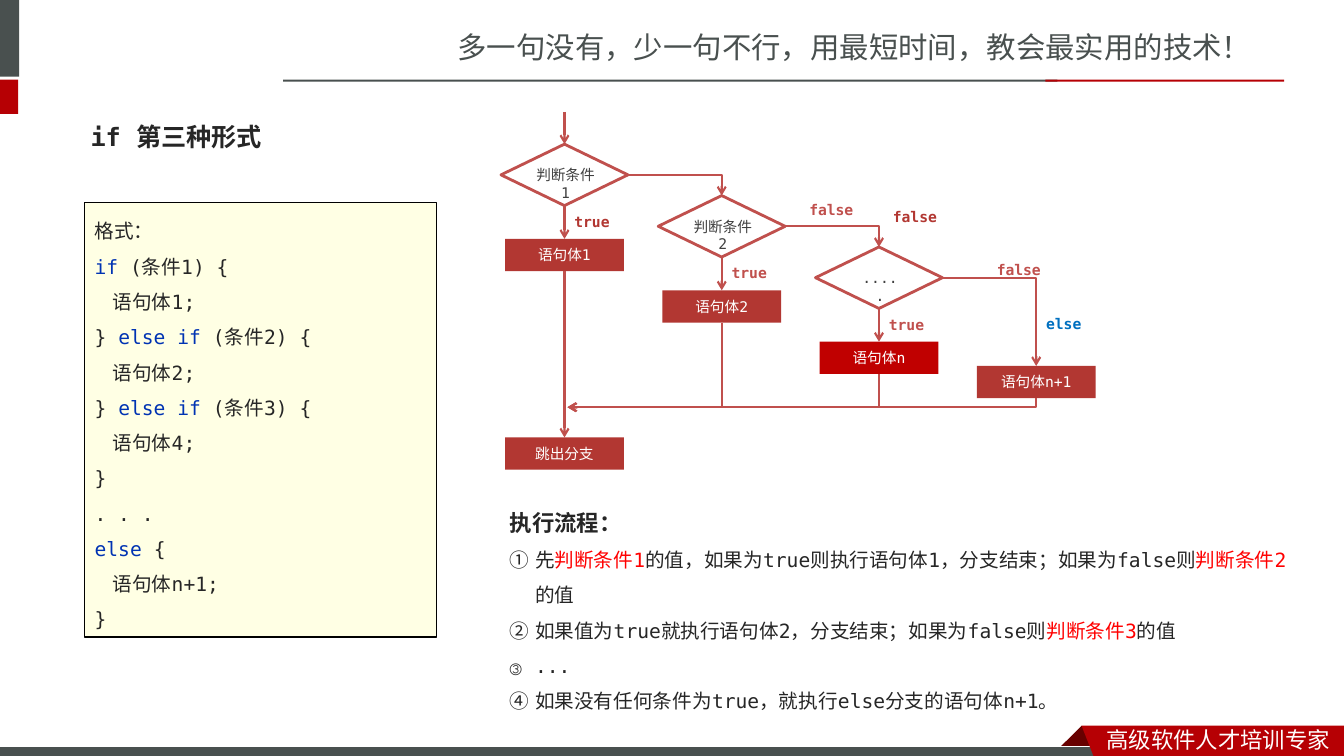
import pptx
import pptx.dml.color
import pptx.enum.shapes
import pptx.enum.text
import pptx.oxml
import pptx.oxml.ns
import pptx.util
from dataclasses import dataclass


@dataclass(frozen=True)
class Theme:
    latin: str = "DejaVu Sans Mono"
    han: str = "Noto Sans CJK SC"
    ink: str = "262626"
    slate: str = "49504F"
    brand: str = "B60004"
    fold: str = "680000"
    white: str = "FFFFFF"
    black: str = "000000"
    paper: str = "FFFFE4"
    keyword: str = "0033B3"
    accent: str = "FF0000"
    flow: str = "C0504D"
    step: str = "B23732"
    last_step: str = "C00000"
    condition: str = "404040"
    otherwise: str = "0070C0"
    banner_size: float = 21
    heading_size: float = 18
    section_size: float = 16
    body_size: float = 14
    label_size: float = 10.5


THEME = Theme()
SHAPE = pptx.enum.shapes.MSO_SHAPE
LEFT, CENTER = pptx.enum.text.PP_ALIGN.LEFT, pptx.enum.text.PP_ALIGN.CENTER
TOP, MIDDLE = pptx.enum.text.MSO_ANCHOR.TOP, pptx.enum.text.MSO_ANCHOR.MIDDLE

# Grid: 133.33 columns by 75 rows, square cells
COLUMNS, ROWS = 133.33, 75
CELL = pptx.util.Inches(7.5) / ROWS

# Each branch sits one stride right of and below the one before it
FIRST_X, FIRST_Y = 56, 14.3
STRIDE_X, STRIDE_Y = 15.6, 5.1
DIAMOND_W, DIAMOND_H = 12.6, 6.1
STEP_W, STEP_H, STEP_DROP = 11.8, 3.2, 9.4
EXIT_Y, MERGE_X, MERGE_Y = 43.4, 56.3, 40.4

CODE = [
    [("格式：", "ink")],
    [("if", "keyword"), (" (条件1) {", "ink")],
    [("语句体1;", "ink")],
    [("} ", "ink"), ("else if ", "keyword"), ("(条件2) {", "ink")],
    [("语句体2;", "ink")],
    [("} ", "ink"), ("else if ", "keyword"), ("(条件3) {", "ink")],
    [("语句体4;", "ink")],
    [("}", "ink")],
    [(". . .", "ink")],
    [("else ", "keyword"), ("{", "ink")],
    [("语句体n+1;", "ink")],
    [("}", "ink")],
]
PROCESS = [
    [("执行流程：", "ink")],
    [("先", "ink"), ("判断条件1", "accent"),
     ("的值，如果为true则执行语句体1，分支结束；如果为false则", "ink"),
     ("判断条件2", "accent"), ("的值", "ink")],
    [("如果值为true就执行语句体2，分支结束；如果为false则", "ink"),
     ("判断条件3", "accent"), ("的值", "ink")],
    [("...", "ink")],
    [("如果没有任何条件为true，就执行else分支的语句体n+1。", "ink")],
]


def cells(*counts):
    return [pptx.util.Emu(round(count * CELL)) for count in counts]


def rgb(color):
    return pptx.dml.color.RGBColor.from_string(color)


def style_run(run, size, color, bold=False, latin=THEME.latin):
    run.font.size = pptx.util.Pt(size)
    run.font.color.rgb = rgb(color)
    run.font.bold = bold
    run.font.name = latin
    east_asian = pptx.oxml.parse_xml(
        f'<a:ea {pptx.oxml.ns.nsdecls("a")} typeface="{THEME.han}"/>')
    run.font.fill  # font properties exist before the typeface is placed
    run.font._element.find(pptx.oxml.ns.qn("a:latin")).addnext(east_asian)


def paint(shape, fill=None, line=None, weight=1):
    shape.shadow.inherit = False
    if fill:
        shape.fill.solid()
        shape.fill.fore_color.rgb = rgb(fill)
    else:
        shape.fill.background()
    if line:
        shape.line.color.rgb = rgb(line)
        shape.line.width = pptx.util.Pt(weight)
    else:
        shape.line.fill.background()
    return shape


def block(slide, box, kind=SHAPE.RECTANGLE, **colors):
    return paint(slide.shapes.add_shape(kind, *cells(*box)), **colors)


def outline(slide, points, fill):
    corners = [tuple(cells(*point)) for point in points]
    builder = slide.shapes.build_freeform(*corners[0])
    builder.add_line_segments(corners[1:], close=True)
    return paint(builder.convert_to_shape(), fill=fill)


def label(slide, box, text, size, color, bold=False, align=LEFT, anchor=TOP,
          latin=THEME.latin):
    frame = slide.shapes.add_textbox(*cells(*box)).text_frame
    frame.word_wrap = True
    frame.vertical_anchor = anchor
    frame.text = text
    frame.paragraphs[0].alignment = align
    style_run(frame.paragraphs[0].runs[0], size, color, bold, latin)


def write_lines(frame, lines):
    frame.word_wrap = True
    frame.vertical_anchor = TOP
    for index, pieces in enumerate(lines):
        paragraph = frame.add_paragraph() if index else frame.paragraphs[0]
        paragraph.alignment = LEFT
        paragraph.line_spacing = 1.5
        for text, role in pieces:
            run = paragraph.add_run()
            run.text = text
            style_run(run, THEME.body_size, getattr(THEME, role))


def indent(paragraph, left, first=0):
    properties = paragraph._p.get_or_add_pPr()
    properties.set("marL", str(round(left * CELL)))
    properties.set("indent", str(round(first * CELL)))
    return properties


def flow_line(slide, start, end, elbow=False):
    kinds = pptx.enum.shapes.MSO_CONNECTOR
    link = slide.shapes.add_connector(
        kinds.ELBOW if elbow else kinds.STRAIGHT, *cells(*start, *end))
    link.line.color.rgb = rgb(THEME.flow)
    link.line.width = pptx.util.Pt(1.5)
    namespace = pptx.oxml.ns.nsdecls("a")
    link.line._get_or_add_ln().append(
        pptx.oxml.parse_xml(f'<a:tailEnd {namespace} type="arrow"/>'))
    properties = link._element.spPr
    properties.append(pptx.oxml.parse_xml(f"<a:effectLst {namespace}/>"))
    if elbow:
        properties.find(pptx.oxml.ns.qn("a:prstGeom")).set("prst", "bentConnector2")
    return properties


def right_then_down(slide, start, end):
    flow_line(slide, start, end, elbow=True)


def down_then_left(slide, start, end):
    # A right-then-down bend turned a quarter about its middle
    middle_x, middle_y = (start[0] + end[0]) / 2, (start[1] + end[1]) / 2
    half_w, half_h = (end[1] - start[1]) / 2, (start[0] - end[0]) / 2
    properties = flow_line(slide, (middle_x - half_w, middle_y - half_h),
                           (middle_x + half_w, middle_y + half_h), elbow=True)
    properties.find(pptx.oxml.ns.qn("a:xfrm")).set("rot", "5400000")


def step_box(slide, x, y, text, fill=THEME.step):
    frame = block(slide, (x - STEP_W / 2, y, STEP_W, STEP_H), fill=fill).text_frame
    frame.margin_top = frame.margin_bottom = 0
    frame.vertical_anchor = MIDDLE
    frame.text = text
    frame.paragraphs[0].alignment = CENTER
    style_run(frame.paragraphs[0].runs[0], THEME.label_size, THEME.white)


def tag(slide, x, y, text, color=THEME.flow):
    label(slide, (x, y, 9.8, 2.8), text, THEME.label_size, color, bold=True)


def frame_slide(slide):
    label(slide, (44.4, 2.4, 79.8, 4.5), "多一句没有，少一句不行，用最短时间，教会最实用的技术！",
          THEME.banner_size, THEME.slate, latin=THEME.han)
    for box, fill in [((-0.6, 0, 2.5, 7.6), THEME.slate),
                      ((-0.6, 7.9, 2.4, 3.4), THEME.brand),
                      ((28.1, 7.9, 76.8, 0.2), THEME.slate),
                      ((103.7, 7.9, 23.7, 0.2), THEME.brand)]:
        block(slide, box, fill=fill)
    outline(slide, [(107.3, 72), (109.5, 74.2), (109.4, 74.3), (105.2, 74.3),
                    (105.1, 74.2)], THEME.fold)
    block(slide, (-0.1, 74.1, 110, 1.2), fill=THEME.slate, line=THEME.white, weight=0.75)
    outline(slide, [(107.3, 72), (COLUMNS, 72), (COLUMNS, 75.4), (108.6, 75.3)],
            THEME.brand)
    label(slide, (108.8, 71.5, 24.5, 3.7), "高级软件人才培训专家",
          THEME.section_size, THEME.white, latin=THEME.han)


def code_panel(slide):
    panel = block(slide, (8.4, 20.1, 34.9, 43.1), fill=THEME.paper, line=THEME.black)
    write_lines(panel.text_frame, CODE)
    for paragraph in panel.text_frame.paragraphs:
        if paragraph.text.startswith("语句体"):
            indent(paragraph, 1.8)


def process_notes(slide):
    frame = slide.shapes.add_textbox(*cells(49.6, 48.7, 80.5, 18.8)).text_frame
    write_lines(frame, PROCESS)
    heading, *stages = frame.paragraphs
    style = heading.runs[0].font
    style.size, style.bold = pptx.util.Pt(THEME.section_size), True
    for stage in stages:
        indent(stage, 2.5, -2.5).append(pptx.oxml.parse_xml(
            f'<a:buAutoNum {pptx.oxml.ns.nsdecls("a")} type="circleNumDbPlain"/>'))


def flowchart(slide):
    branches = [("判断条件1", "语句体1", THEME.step),
                ("判断条件2", "语句体2", THEME.step),
                (".....", "语句体n", THEME.last_step)]
    else_x, else_y = FIRST_X + len(branches) * STRIDE_X, 36.3
    flow_line(slide, (FIRST_X, 11.1), (FIRST_X, FIRST_Y))
    for index, (condition, action, fill) in enumerate(branches):
        x, y = FIRST_X + index * STRIDE_X, FIRST_Y + index * STRIDE_Y
        last = index == len(branches) - 1
        step_y = y + STEP_DROP
        text_w = 6.1 if last else 8.4
        block(slide, (x - DIAMOND_W / 2, y, DIAMOND_W, DIAMOND_H),
              SHAPE.FLOWCHART_DECISION, line=THEME.flow, weight=2)
        label(slide, (x + 0.1 - text_w / 2, y + 1.7, text_w, 2.8), condition,
              THEME.label_size, THEME.condition, align=CENTER)
        step_box(slide, x, step_y, action, fill)
        flow_line(slide, (x, y + DIAMOND_H), (x, step_y))
        tag(slide, x, y + 6.3, "true", THEME.flow if index else THEME.step)
        right_then_down(slide, (x + DIAMOND_W / 2, y + DIAMOND_H / 2),
                        (x + STRIDE_X, else_y if last else y + STRIDE_Y))
        if index:
            down_then_left(slide, (x, step_y + STEP_H), (MERGE_X, MERGE_Y))
    # Fallback branch and exit
    step_box(slide, else_x, else_y, "语句体n+1")
    down_then_left(slide, (else_x, else_y + STEP_H), (MERGE_X, MERGE_Y))
    flow_line(slide, (FIRST_X, FIRST_Y + STEP_DROP + STEP_H), (FIRST_X, EXIT_Y))
    step_box(slide, FIRST_X, EXIT_Y, "跳出分支")
    tag(slide, 79.3, 19.4, "false")
    tag(slide, 87.6, 20.1, "false", THEME.step)
    tag(slide, 97.9, 25.4, "false")
    tag(slide, else_x, 30.7, "else", THEME.otherwise)


def main():
    deck = pptx.Presentation()
    deck.slide_width, deck.slide_height = cells(COLUMNS, ROWS)
    slide = deck.slides.add_slide(deck.slide_layouts[6])
    frame_slide(slide)
    label(slide, (8, 10.7, 23.6, 5.7), "if 第三种形式", THEME.heading_size,
          THEME.ink, bold=True, anchor=MIDDLE)
    code_panel(slide)
    flowchart(slide)
    process_notes(slide)
    deck.save("out.pptx")


if __name__ == "__main__":
    main()
